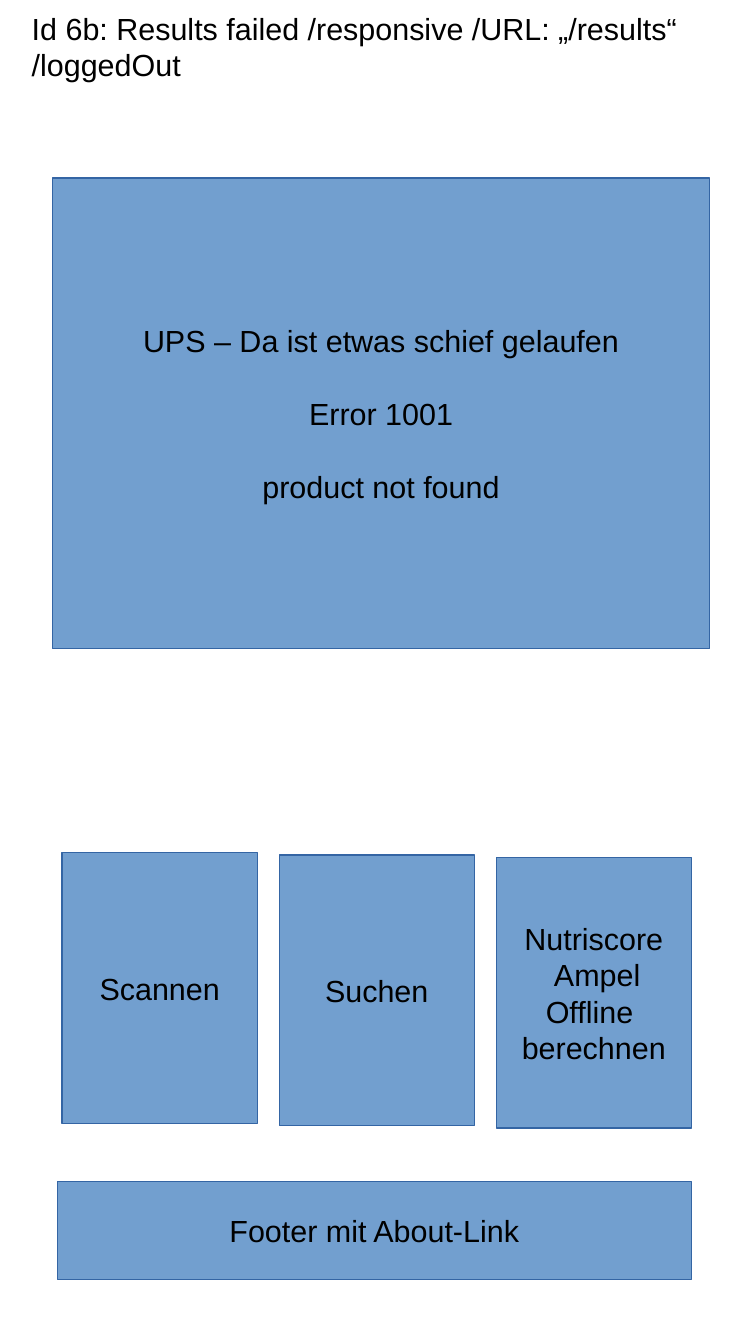
from dataclasses import dataclass

from pptx import Presentation, util as u
from pptx.dml.color import RGBColor
from pptx.enum import shapes, text

SCALE = 9144
COLORS = {"fill": "729FCF", "line": "3465A4", "text": "000000"}


@dataclass
class Box:
    left: int
    top: int
    width: int
    height: int
    lines: list[str]
    gap: float = 0


def px(value: int) -> u.Emu:
    return u.Emu(value * SCALE)


def color(name: str) -> RGBColor:
    return RGBColor.from_string(COLORS[name])


def write(frame, lines: list[str], align=text.PP_ALIGN.CENTER,
          anchor=text.MSO_ANCHOR.MIDDLE, wrap: bool = False,
          size: int = 18, gap: float = 0) -> None:
    frame.auto_size = text.MSO_AUTO_SIZE.NONE
    frame.word_wrap = wrap
    frame.vertical_anchor = anchor
    frame.margin_left = frame.margin_right = px(10)
    frame.margin_top = frame.margin_bottom = px(5)
    for index, line in enumerate(lines):
        para = frame.add_paragraph() if index else frame.paragraphs[0]
        para.alignment = align
        para.space_before = u.Pt(gap if index else 0)
        run = para.add_run()
        run.text = line
        run.font.name = "Arial"
        run.font.size = u.Pt(size)
        run.font.color.rgb = color("text")


def place(shape, left: int, top: int, width: int, height: int) -> None:
    shape.left, shape.top = px(left), px(top)
    shape.width, shape.height = px(width), px(height)


def draw(slide, box: Box) -> None:
    shape = slide.shapes.add_shape(
        shapes.MSO_SHAPE.RECTANGLE,
        px(box.left), px(box.top), px(box.width), px(box.height))
    shape.shadow.inherit = False
    shape.fill.solid()
    shape.fill.fore_color.rgb = color("fill")
    shape.line.color.rgb = color("line")
    shape.line.width = u.Pt(0)
    write(shape.text_frame, box.lines, gap=box.gap)


def main() -> None:
    deck = Presentation()
    deck.slide_width, deck.slide_height = px(620), px(1102)
    slide = deck.slides.add_slide(deck.slide_layouts[5])

    title = slide.shapes.title
    place(title, 16, 3, 604, 122)
    write(title.text_frame,
          ["Id 6b: Results failed /responsive /URL: „/results“ /loggedOut"],
          align=text.PP_ALIGN.LEFT, anchor=text.MSO_ANCHOR.TOP, wrap=True)

    error = Box(43, 146, 539, 386,
                ["UPS – Da ist etwas schief gelaufen", "Error 1001",
                 "product not found"], gap=21.7)
    labels = [["Scannen"], ["Suchen"],
              ["Nutriscore", " Ampel", "Offline ", "berechnen"]]
    cards = [Box(51 + 178 * i, 699 + 2 * i, 160, 222, lines)
             for i, lines in enumerate(labels)]
    footer = Box(47, 969, 520, 80, ["Footer mit About-Link"])
    for box in [error, *cards, footer]:
        draw(slide, box)

    deck.save("out.pptx")


if __name__ == "__main__":
    main()
